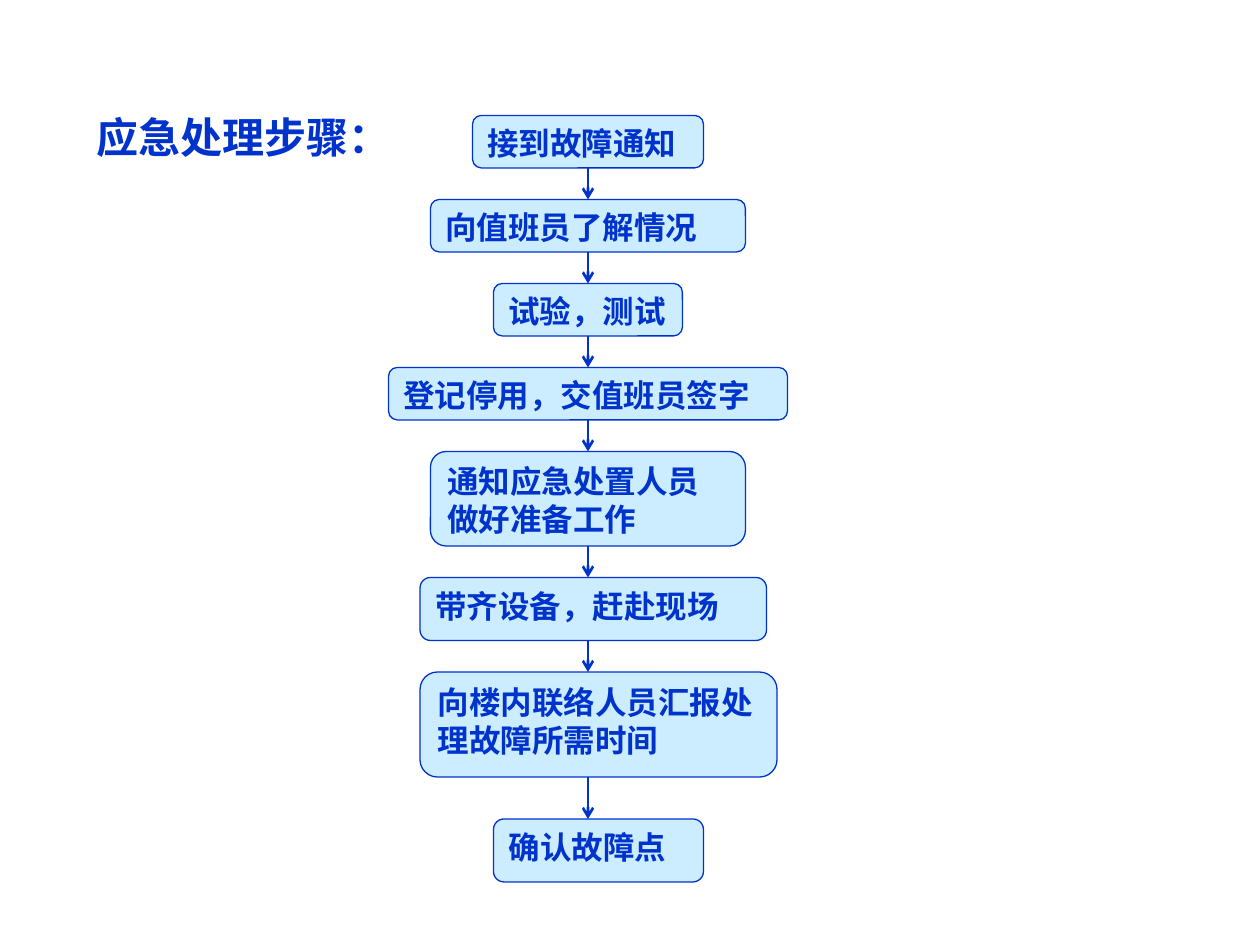
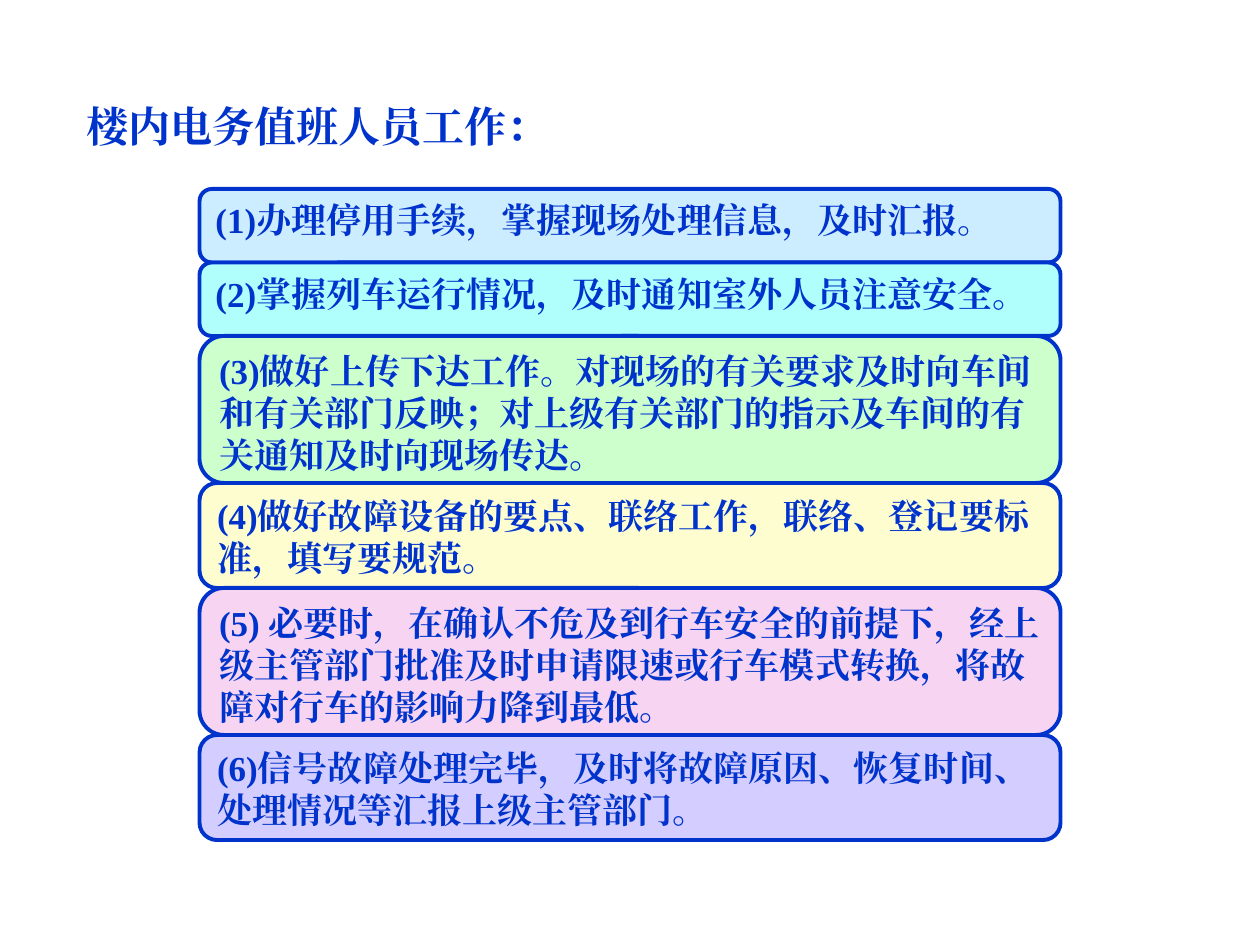
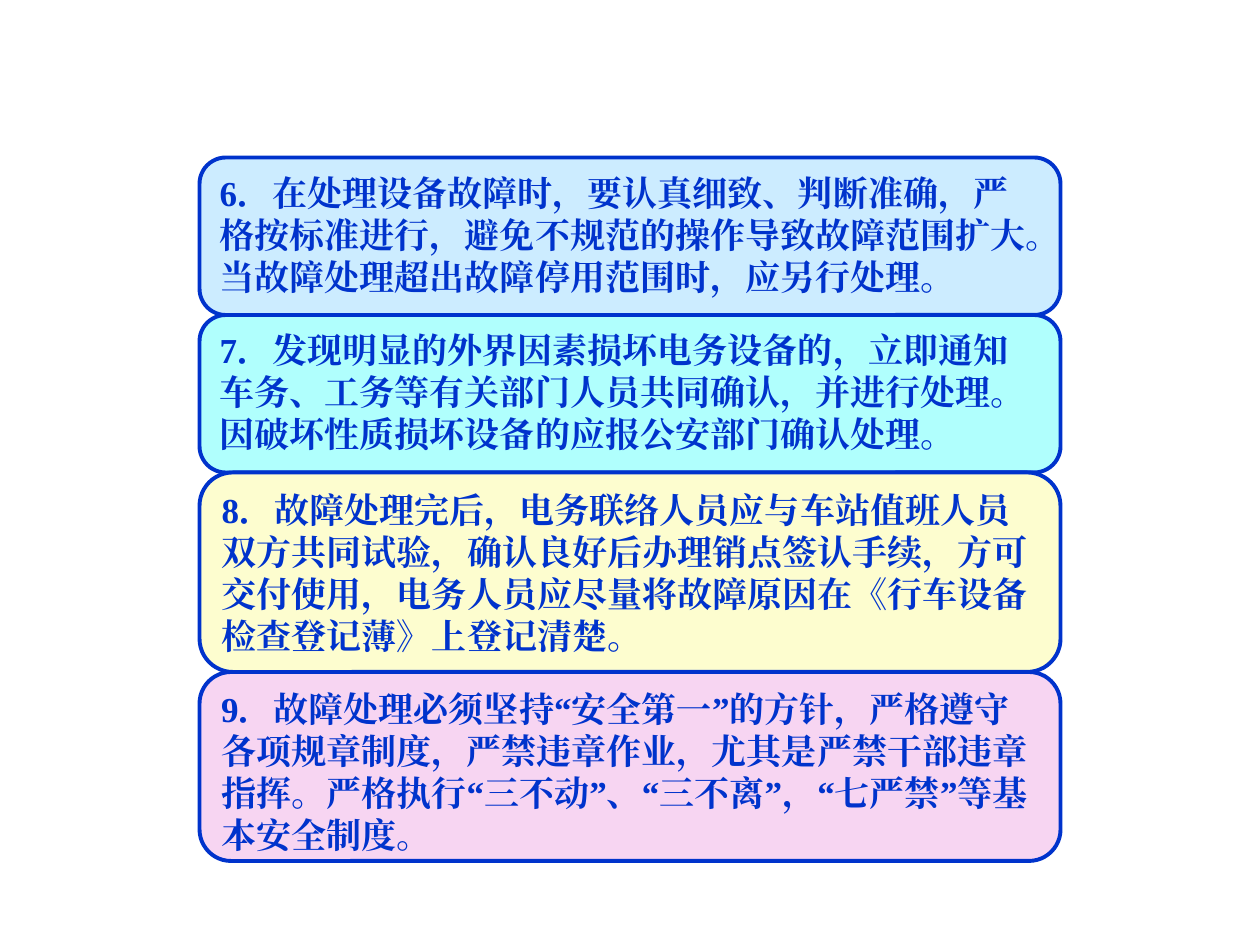
from lxml import etree
from pptx import Presentation
from pptx.dml.color import RGBColor
from pptx.enum.shapes import MSO_CONNECTOR, MSO_SHAPE
from pptx.enum.text import MSO_ANCHOR, MSO_AUTO_SIZE, PP_ALIGN
from pptx.oxml.ns import qn
from pptx.util import Inches, Pt

ROUNDED = MSO_SHAPE.ROUNDED_RECTANGLE
STRAIGHT = MSO_CONNECTOR.STRAIGHT
TOP, MIDDLE = MSO_ANCHOR.TOP, MSO_ANCHOR.MIDDLE
GROW = MSO_AUTO_SIZE.SHAPE_TO_FIT_TEXT
LEFT = PP_ALIGN.LEFT

COLORS = {
    "ink": "0033CC",
    "sky": "CCECFF",
    "aqua": "B0FFFD",
    "green": "CCFFCC",
    "cream": "FDFDCF",
    "pink": "F7D5F2",
    "lilac": "D4CDFF",
}
SANS, SERIF = "Arial", "Times New Roman"
TITLE_ONLY, BLANK = 5, 6

# Positions below are in grid units, twelve to the inch
FLOW_TOP, FLOW_GAP, FLOW_CENTER = 11, 3, 56
BAND_LEFT, BAND_WIDTH = 19, 82

# Text, left, width, height
FLOW_STEPS = [
    ("接到故障通知", 45, 22, 5),
    ("向值班员了解情况", 41, 30, 5),
    ("试验，测试", 47, 18, 5),
    ("登记停用，交值班员签字", 37, 38, 5),
    ("通知应急处置人员做好准备工作", 41, 30, 9),
    ("带齐设备，赶赴现场", 40, 33, 6),
    ("向楼内联络人员汇报处理故障所需时间", 40, 34, 10),
    ("确认故障点", 47, 20, 6),
]

# Text, fill, height
DUTY_BANDS = [
    ("(1)办理停用手续，掌握现场处理信息，及时汇报。", "sky", 7),
    ("(2)掌握列车运行情况，及时通知室外人员注意安全。", "aqua", 7),
    ("(3)做好上传下达工作。对现场的有关要求及时向车间和有关部门反映；"
     "对上级有关部门的指示及车间的有关通知及时向现场传达。", "green", 14),
    ("(4)做好故障设备的要点、联络工作，联络、登记要标准，填写要规范。", "cream", 10),
    ("(5) 必要时，在确认不危及到行车安全的前提下，经上级主管部门批准及时申请"
     "限速或行车模式转换，将故障对行车的影响力降到最低。", "pink", 14),
    ("(6)信号故障处理完毕，及时将故障原因、恢复时间、处理情况等汇报上级主管部门。",
     "lilac", 10),
]
RULE_BANDS = [
    ("6．在处理设备故障时，要认真细致、判断准确，严格按标准进行，避免不规范的操作"
     "导致故障范围扩大。当故障处理超出故障停用范围时，应另行处理。", "sky", 15),
    ("7．发现明显的外界因素损坏电务设备的，立即通知车务、工务等有关部门人员共同确认，"
     "并进行处理。因破坏性质损坏设备的应报公安部门确认处理。", "aqua", 15),
    ("8．故障处理完后，电务联络人员应与车站值班人员双方共同试验，确认良好后办理销点"
     "签认手续，方可交付使用，电务人员应尽量将故障原因在《行车设备检查登记薄》上登记清楚。",
     "cream", 19),
    ("9．故障处理必须坚持“安全第一”的方针，严格遵守各项规章制度，严禁违章作业，"
     "尤其是严禁干部违章指挥。严格执行“三不动”、“三不离”，“七严禁”等基本安全制度。",
     "pink", 18),
]


def grid(units):
    return Inches(units / 12)


def color(name):
    return RGBColor.from_string(COLORS[name])


def write_text(shape, text, font_name, size, anchor=TOP):
    frame = shape.text_frame
    frame.word_wrap = True
    frame.vertical_anchor = anchor
    paragraph = frame.paragraphs[0]
    paragraph.alignment = LEFT
    run = paragraph.add_run()
    run.text = text
    for key, value in {"name": font_name, "size": Pt(size), "bold": True}.items():
        setattr(run.font, key, value)
    run.font.color.rgb = color("ink")
    etree.SubElement(run.font._element, qn("a:ea")).set("typeface", font_name)


def add_title(slide, text, place, font_name, anchor):
    title = slide.shapes.title
    for key, value in zip(("left", "top", "width", "height"), place):
        setattr(title, key, grid(value))
    write_text(title, text, font_name, 24, anchor)
    title.text_frame.auto_size = GROW


def add_box(slide, text, place, fill, line_width, font_name, size):
    box = slide.shapes.add_shape(ROUNDED, *map(grid, place))
    box.shadow.inherit = False
    box.fill.solid()
    box.fill.fore_color.rgb = color(fill)
    box.line.color.rgb = color("ink")
    box.line.width = Pt(line_width)
    write_text(box, text, font_name, size)


def add_down_arrow(slide, center, top, bottom):
    arrow = slide.shapes.add_connector(
        STRAIGHT, grid(center), grid(top), grid(center), grid(bottom))
    arrow.line.color.rgb = color("ink")
    arrow.line.width = Pt(1.5)
    etree.SubElement(arrow.line._get_or_add_ln(), qn("a:tailEnd")).set("type", "arrow")
    etree.SubElement(arrow._element.spPr, qn("a:effectLst"))


def add_flow(slide, steps):
    top = FLOW_TOP
    last = len(steps) - 1
    for index, (text, left, width, height) in enumerate(steps):
        add_box(slide, text, (left, top, width, height), "sky", 0.75, SANS, 18)
        bottom = top + height
        # The arrow to the last step is one unit longer
        top = bottom + FLOW_GAP + (index == last - 1)
        if index < last:
            add_down_arrow(slide, FLOW_CENTER, bottom, top)


def add_bands(slide, bands, top):
    for text, fill, height in bands:
        add_box(slide, text, (BAND_LEFT, top, BAND_WIDTH, height), fill, 2.25, SERIF, 20)
        top += height


def main():
    presentation = Presentation()
    presentation.slide_width = Inches(10)
    presentation.slide_height = Inches(7.5)
    layouts = presentation.slide_layouts

    # Emergency handling steps
    slide = presentation.slides.add_slide(layouts[TITLE_ONLY])
    add_title(slide, "应急处理步骤：", (8, 10, 27, 6), SANS, TOP)
    add_flow(slide, FLOW_STEPS)

    # Duties of the staff on watch
    slide = presentation.slides.add_slide(layouts[TITLE_ONLY])
    add_title(slide, "楼内电务值班人员工作：", (7, 9, 51, 6), SERIF, MIDDLE)
    add_bands(slide, DUTY_BANDS, top=18)

    # Rules six to nine
    slide = presentation.slides.add_slide(layouts[BLANK])
    add_bands(slide, RULE_BANDS, top=15)

    presentation.save("out.pptx")


if __name__ == "__main__":
    main()
